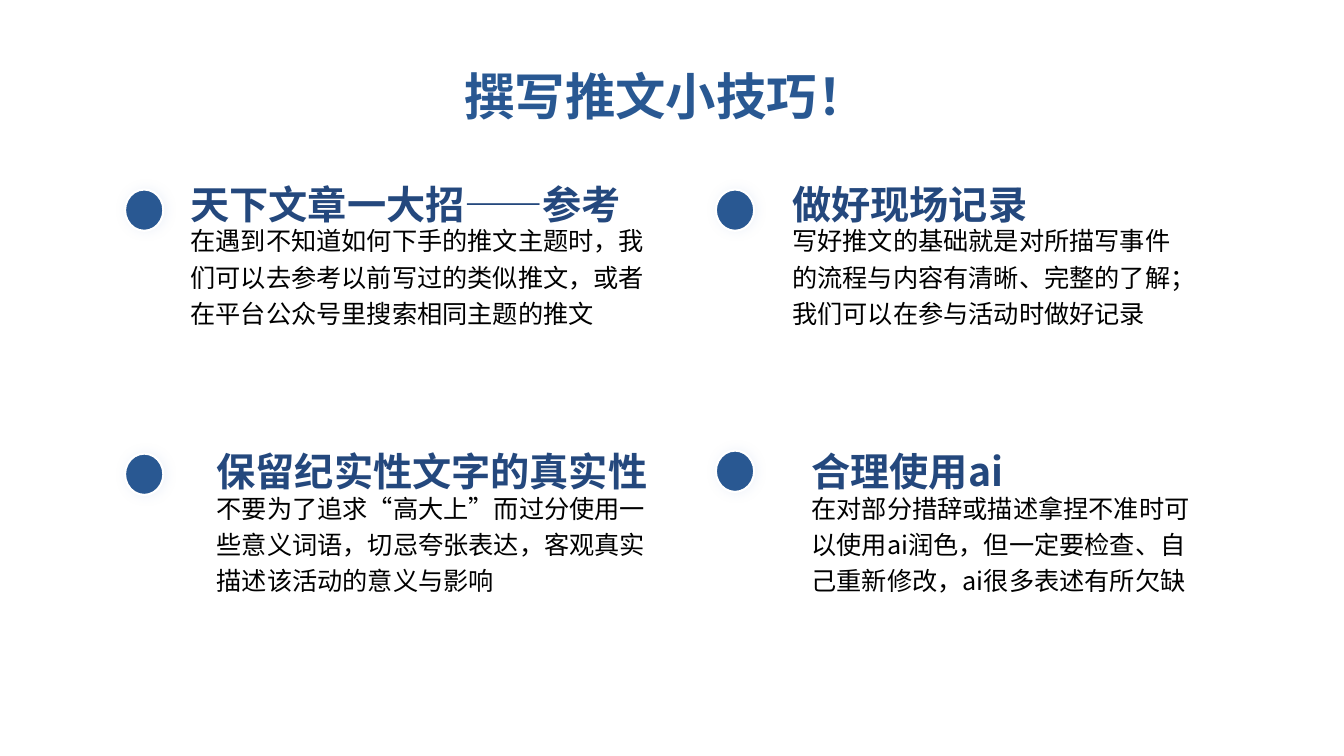
import dataclasses

import lxml.etree
import pptx
import pptx.dml.color
import pptx.enum.shapes
import pptx.enum.text
import pptx.oxml
import pptx.oxml.ns
import pptx.util

PX = 9144  # 100 px to the inch
FONT = "Noto Sans CJK SC"
COLORS = {
    "title": "295892",
    "dot": "295892",
    "ring": "FFFFFF",
    "glow": "B4C7E7",
    "heading": "24487D",
    "body": "000000",
}
DOT_W, DOT_H = 38, 41
HEADING_H, BODY_H, BODY_DROP = 66, 119, 48


@dataclasses.dataclass
class Tip:
    heading: str
    body: str
    left: int
    top: int
    heading_w: int
    body_w: int
    dot_left: int
    dot_top: int


TIPS = [
    Tip("天下文章一大招——参考",
        "在遇到不知道如何下手的推文主题时，我们可以去参考以前写过的类似推文，或者在平台公众号里搜索相同主题的推文",
        179, 165, 525, 475, 124, 188),
    Tip("做好现场记录",
        "写好推文的基础就是对所描写事件的流程与内容有清晰、完整的了解；我们可以在参与活动时做好记录",
        776, 165, 308, 402, 710, 188),
    Tip("保留纪实性文字的真实性",
        "不要为了追求“高大上”而过分使用一些意义词语，切忌夸张表达，客观真实描述该活动的意义与影响",
        205, 430, 459, 452, 124, 450),
    Tip("合理使用ai",
        "在对部分措辞或描述拿捏不准时可以使用ai润色，但一定要检查、自己重新修改，ai很多表述有所欠缺",
        795, 430, 244, 403, 710, 447),
]


def px(n: int) -> int:
    return pptx.util.Emu(n * PX)


def rgb(name: str) -> pptx.dml.color.RGBColor:
    return pptx.dml.color.RGBColor.from_string(COLORS[name])


def set_text(tf, text: str, size: int, color: str, bold: bool):
    p = tf.paragraphs[0]
    p.text = text
    font = p.font
    font.size = pptx.util.Pt(size)
    font.bold = bold
    font.color.rgb = rgb(color)
    font.name = FONT
    # East Asian typeface goes right after the Latin one
    latin = p._p.pPr.find(".//" + pptx.oxml.ns.qn("a:latin"))
    ea = lxml.etree.Element(pptx.oxml.ns.qn("a:ea"), typeface=FONT)
    latin.addnext(ea)
    return p


def add_text(s, left: int, top: int, width: int, height: int,
             text: str, size: int, color: str, bold: bool) -> None:
    tf = s.shapes.add_textbox(px(left), px(top), px(width), px(height)).text_frame
    tf.word_wrap = True
    tf.auto_size = pptx.enum.text.MSO_AUTO_SIZE.SHAPE_TO_FIT_TEXT
    set_text(tf, text, size, color, bold).line_spacing = 1.2


def add_dot(s, left: int, top: int) -> None:
    sp = s.shapes.add_shape(pptx.enum.shapes.MSO_SHAPE.OVAL,
                            px(left), px(top), px(DOT_W), px(DOT_H))
    sp.fill.solid()
    sp.fill.fore_color.rgb = rgb("dot")
    sp.line.color.rgb = rgb("ring")
    sp.line.width = pptx.util.Pt(1.5)
    # Soft glow
    sp.shadow.inherit = False
    effects = sp._element.spPr.find(pptx.oxml.ns.qn("a:effectLst"))
    effects.append(pptx.oxml.parse_xml(
        f'<a:outerShdw {pptx.oxml.ns.nsdecls("a")} blurRad="{pptx.util.Pt(8)}"'
        f' dist="{pptx.util.Pt(1)}" dir="0" algn="ctr" rotWithShape="0">'
        f'<a:srgbClr val="{COLORS["glow"]}"><a:alpha val="20000"/></a:srgbClr>'
        '</a:outerShdw>'))


def add_title(s) -> None:
    title = s.shapes.title
    title.left, title.top, title.width, title.height = map(px, (450, 59, 421, 71))
    tf = title.text_frame
    tf.word_wrap = False
    tf.auto_size = pptx.enum.text.MSO_AUTO_SIZE.NONE
    tf.vertical_anchor = pptx.enum.text.MSO_ANCHOR.MIDDLE
    p = set_text(tf, "撰写推文小技巧！", 36, "title", True)
    p.alignment = pptx.enum.text.PP_ALIGN.CENTER


def add_tip(s, tip: Tip) -> None:
    add_dot(s, tip.dot_left, tip.dot_top)
    add_text(s, tip.left, tip.top + BODY_DROP, tip.body_w, BODY_H,
             tip.body, 18, "body", False)
    add_text(s, tip.left, tip.top, tip.heading_w, HEADING_H,
             tip.heading, 28, "heading", True)


def main() -> None:
    prs = pptx.Presentation()
    prs.slide_width, prs.slide_height = px(1333), px(750)
    s = prs.slides.add_slide(prs.slide_layouts[5])  # Title Only
    add_title(s)
    for tip in TIPS:
        add_tip(s, tip)
    prs.save("out.pptx")


if __name__ == "__main__":
    main()
